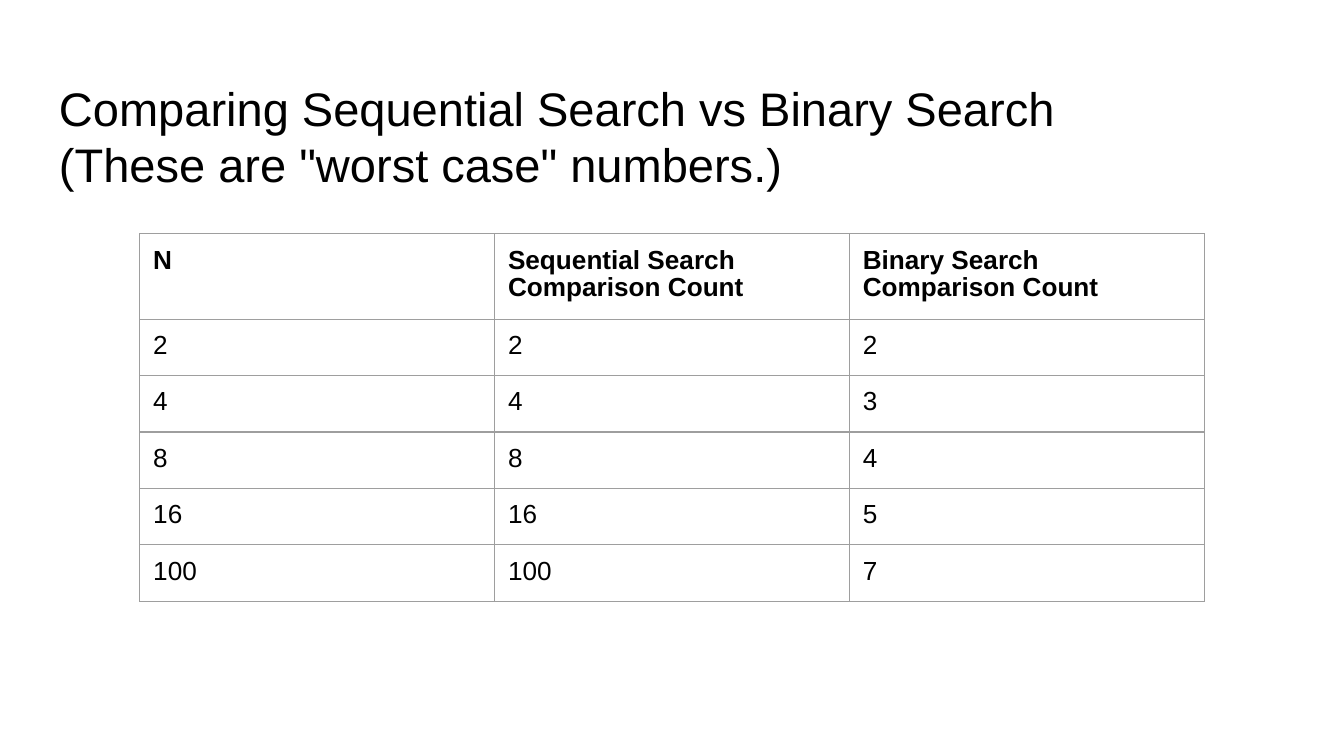
import pptx
import pptx.dml.color
import pptx.oxml
import pptx.oxml.ns
import pptx.util
from pptx.util import Inches

FONT = "Arial"
BLACK, WHITE, GRAY = "000000", "FFFFFF", "9E9E9E"
MARGIN = Inches(0.1)

TITLE = ["Comparing Sequential Search vs Binary Search",
         '(These are "worst case" numbers.)']
HEADERS = ["N", "Sequential Search\nComparison Count", "Binary Search\nComparison Count"]
COUNTS = [(2, 2, 2), (4, 4, 3), (8, 8, 4), (16, 16, 5), (100, 100, 7)]


def color(value):
    return pptx.dml.color.RGBColor.from_string(value)


def add_run(p, text, size, bold=False):
    r = p.add_run()
    r.text = text
    r.font.name = FONT
    r.font.size = pptx.util.Pt(size)
    r.font.bold = bold
    r.font.color.rgb = color(BLACK)


def set_margins(box):
    box.margin_left = box.margin_right = MARGIN
    box.margin_top = box.margin_bottom = MARGIN


def add_title(s, lines):
    sp = s.shapes.add_textbox(Inches(0.34), Inches(0.49), Inches(9.32), Inches(0.63))
    tf = sp.text_frame
    tf.word_wrap = True
    set_margins(tf)
    p = tf.paragraphs[0]
    p.line_spacing = 1.0
    for i, line in enumerate(lines):
        if i:
            p.add_line_break()
        add_run(p, line, 25.2)


def set_borders(cell, value, width):
    """Draw a solid line on all four sides; borders go before the cell's fill."""
    props = cell._tc.get_or_add_tcPr()
    for i, side in enumerate(("lnL", "lnR", "lnT", "lnB")):
        props.insert(i, pptx.oxml.parse_xml(
            f'<a:{side} {pptx.oxml.ns.nsdecls("a")} w="{pptx.util.Pt(width)}">'
            f'<a:solidFill><a:srgbClr val="{value}"/></a:solidFill></a:{side}>'))


def fill_cell(cell, text, bold):
    set_margins(cell)
    cell.fill.solid()
    cell.fill.fore_color.rgb = color(WHITE)
    set_borders(cell, GRAY, 0.75)
    tf = cell.text_frame
    for i, line in enumerate(text.split("\n")):
        p = tf.add_paragraph() if i else tf.paragraphs[0]
        p.line_spacing = 0.93
        add_run(p, line, 14, bold)


def add_comparison_table(s, headers, counts):
    """Add the table; the header row grows to fit its two lines."""
    rows = [headers, *counts]
    col_width, row_height = Inches(2.64), Inches(0.42)
    table = s.shapes.add_table(
        len(rows), len(headers), Inches(1.04), Inches(1.74),
        col_width * len(headers), row_height * len(rows)).table
    for col in table.columns:
        col.width = col_width
    for i, values in enumerate(rows):
        table.rows[i].height = row_height
        for j, value in enumerate(values):
            fill_cell(table.cell(i, j), str(value), bold=i == 0)


def main():
    prs = pptx.Presentation()
    prs.slide_width = Inches(10)
    prs.slide_height = prs.slide_width * 9 // 16
    s = prs.slides.add_slide(prs.slide_layouts[6])
    add_title(s, TITLE)
    add_comparison_table(s, HEADERS, COUNTS)
    prs.save("out.pptx")


if __name__ == "__main__":
    main()
